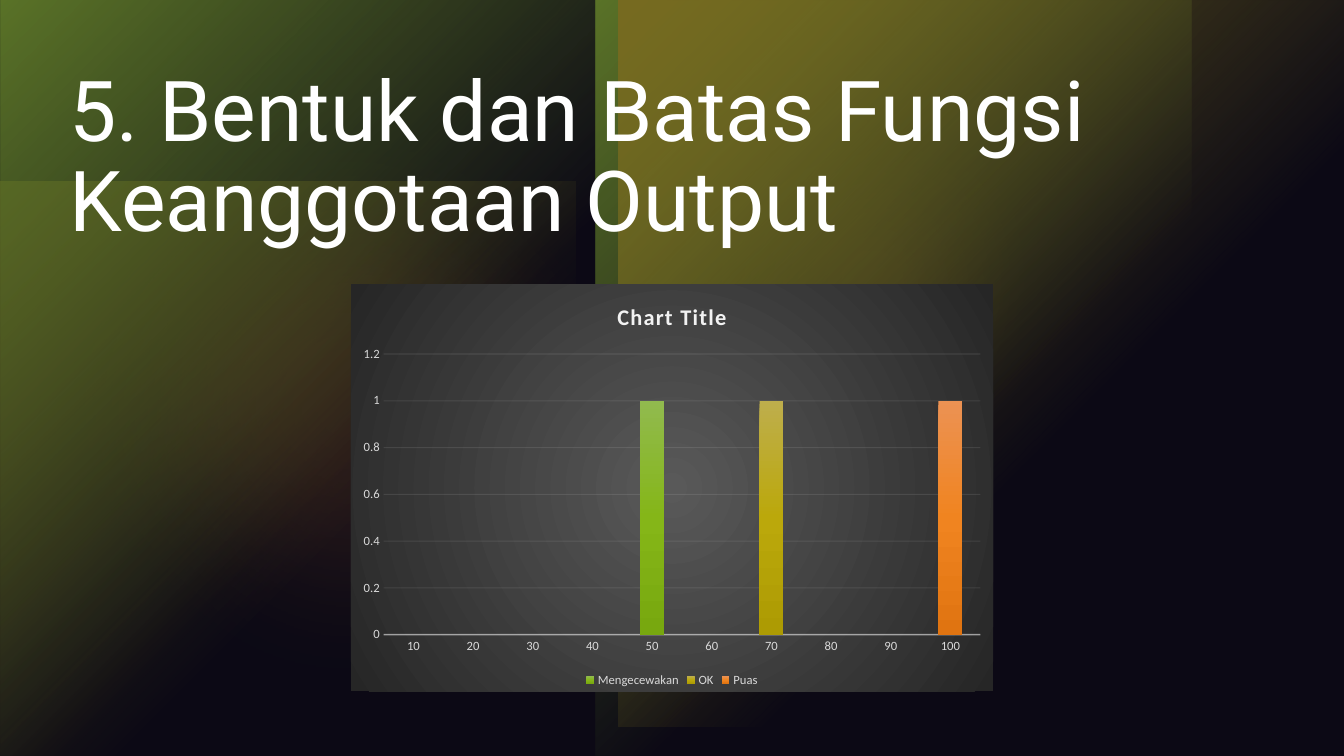
from lxml.etree import SubElement
from pptx import Presentation
from pptx.chart.data import CategoryChartData
from pptx.dml.color import RGBColor
from pptx.enum.chart import XL_CHART_TYPE, XL_LEGEND_POSITION, XL_TICK_MARK
from pptx.enum.shapes import MSO_SHAPE
from pptx.enum.text import MSO_ANCHOR
from pptx.oxml import parse_xml
from pptx.oxml.ns import nsdecls, qn
from pptx.util import Inches, Pt

WIDE, HIGH = 13.33, 7.5
TITLE = "5. Bentuk dan Batas Fungsi Keanggotaan Output"
HEAD = "Chart Title"
LEVELS = [str(n) for n in range(10, 101, 10)]
# name, level of the peak, gradient from top to bottom
SERIES = [
    ("Mengecewakan", "50", ("91BA4E", "85B618", "78A80F")),
    ("OK", "70", ("BEAE4C", "BBA80B", "AD9B03")),
    ("Puas", "100", ("EC9253", "F08420", "E07411")),
]
GREEN, GOLD, ORANGE, NAVY = "82AF1F", "B3A213", "E78429", "1E1835"
HALF, BIG = 5.91, 7.21
# left, top, width, height, colour, opacity, turn, flips
GLOWS = [
    (0, 1.8, 5.71, 5.71, GOLD, 60, 0, "V"),
    (6.29, 0.43, 4.72, 4.72, ORANGE, 60, 0, "V"),
    (0, 0.56, 6.94, 6.94, ORANGE, 20, 0, "V"),
    (0, 0, HALF, HIGH, GREEN, 100, 180, "V"),
    (HALF, 0, HALF, HIGH, GREEN, 100, 180, "HV"),
    (6.13, 0, BIG, BIG, GOLD, 100, 180, "V"),
]


def rgb(code):
    return RGBColor.from_string(code)


def fade(props, share):
    """Set the opacity, in percent, of the first plain colour in props."""
    tone = next(props.iter(qn("a:srgbClr")))
    SubElement(tone, qn("a:alpha"), val=str(share * 1000))


def blend(stops, focus=None):
    """Gradient of (place, colour, opacity): round about focus, else downward."""
    marks = "".join(
        f'<a:gs pos="{at * 1000}"><a:srgbClr val="{code}">'
        f'<a:alpha val="{share * 1000}"/></a:srgbClr></a:gs>'
        for at, code, share in stops)
    way = '<a:lin ang="5400000" scaled="0"/>'
    if focus:
        rect = " ".join(f'{s}="{v * 1000}"' for s, v in zip("ltrb", focus))
        way = f'<a:path path="circle"><a:fillToRect {rect}/></a:path>'
    return parse_xml(f'<a:gradFill {nsdecls("a")} rotWithShape="1">'
                     f'<a:gsLst>{marks}</a:gsLst>{way}</a:gradFill>')


def paint(fill, props, grad):
    fill.solid()
    props.replace(props.find(qn("a:solidFill")), grad)


def block(slide, kind, box, code, share=100):
    part = slide.shapes.add_shape(kind, *map(Inches, box))
    part.shadow.inherit = False
    part.line.fill.background()
    part.fill.solid()
    part.fill.fore_color.rgb = rgb(code)
    fade(part.fill._xPr, share)
    return part


def glow(slide, left, top, width, height, code, share, turn, flips):
    soft = code == ORANGE
    kind = MSO_SHAPE.OVAL if soft else MSO_SHAPE.RECTANGLE
    part = block(slide, kind, (left, top, width, height), code, share)
    props = part._element.spPr
    part.rotation = turn
    for flip in flips:
        props.find(qn("a:xfrm")).set("flip" + flip, "1")
    if soft:
        SubElement(props.find(qn("a:effectLst")), qn("a:softEdge"),
                   rad=str(Inches(1.39)))
    else:
        paint(part.fill, props,
              blend([(0, code, share), (60, code, 0)], (0, 0, 100, 100)))


def style(font, face="Calibri", size=9, code="D9D9D9", bold=False):
    font.name, font.size, font.bold = face, Pt(size), bold
    font.color.rgb = rgb(code)


def write(frame, text, gap=None, **look):
    para = frame.paragraphs[0]
    para.line_spacing = gap
    run = para.add_run()
    run.text = text
    style(run.font, **look)
    return run


def rule(line, width, share):
    line.width = Pt(width)
    line.color.rgb = rgb("F2F2F2")
    fade(line._ln, share)


def graph(slide, box):
    data = CategoryChartData()
    data.categories = LEVELS
    for name, peak, _ in SERIES:
        data.add_series(name, [int(level == peak) for level in LEVELS])
    chart = slide.shapes.add_chart(
        XL_CHART_TYPE.COLUMN_STACKED, *map(Inches, box), data).chart
    style(chart.font, size=10, code="FFFFFF")
    back = parse_xml(f'<c:spPr {nsdecls("c", "a")}><a:ln><a:noFill/></a:ln></c:spPr>')
    back.insert(0, blend([(0, "595959", 100), (100, "262626", 100)], (50,) * 4))
    chart._chartSpace.find(qn("c:txPr")).addprevious(back)

    chart.has_title = True
    run = write(chart.chart_title.text_frame, HEAD, size=16, code="F2F2F2", bold=True)
    run.font._element.set("spc", "100")
    chart.chart_title.include_in_layout = False
    chart.has_legend = True
    chart.legend.position = XL_LEGEND_POSITION.BOTTOM
    chart.legend.include_in_layout = False
    style(chart.legend.font)

    plot = chart.plots[0]
    plot.gap_width, plot.overlap, plot.vary_by_categories = 150, 100, False
    for bars, (_, _, tones) in zip(plot.series, SERIES):
        stops = [(at, tone, 100) for at, tone in zip((0, 50, 100), tones)]
        paint(bars.format.fill, bars._element.spPr, blend(stops))

    cats, vals = chart.category_axis, chart.value_axis
    for axis in (cats, vals):
        axis.major_tick_mark = axis.minor_tick_mark = XL_TICK_MARK.NONE
        style(axis.tick_labels.font)
    rule(cats.format.line, 1, 54)
    vals.format.line.fill.background()
    vals.minimum_scale, vals.maximum_scale, vals.major_unit = 0, 1.2, 0.2
    rule(vals.major_gridlines.format.line, 0.75, 10)


def main():
    deck = Presentation()
    deck.slide_width, deck.slide_height = Inches(WIDE), Inches(HIGH)
    slide = deck.slides.add_slide(deck.slide_layouts[6])
    slide.background.fill.solid()
    slide.background.fill.fore_color.rgb = rgb("000000")
    for item in GLOWS:
        glow(slide, *item)
    block(slide, MSO_SHAPE.RECTANGLE, (0, 0, WIDE, HIGH), NAVY, 40)

    frame = slide.shapes.add_textbox(
        *map(Inches, (0.59, 0.59, 12.14, 1.98))).text_frame
    frame.word_wrap = True
    frame.vertical_anchor = MSO_ANCHOR.MIDDLE
    write(frame, TITLE, gap=0.9, face="Roboto", size=60, code="FFFFFF")
    graph(slide, ((WIDE - 6.37) / 2, 2.82, 6.37, 4.04))
    deck.save("out.pptx")


if __name__ == "__main__":
    main()
